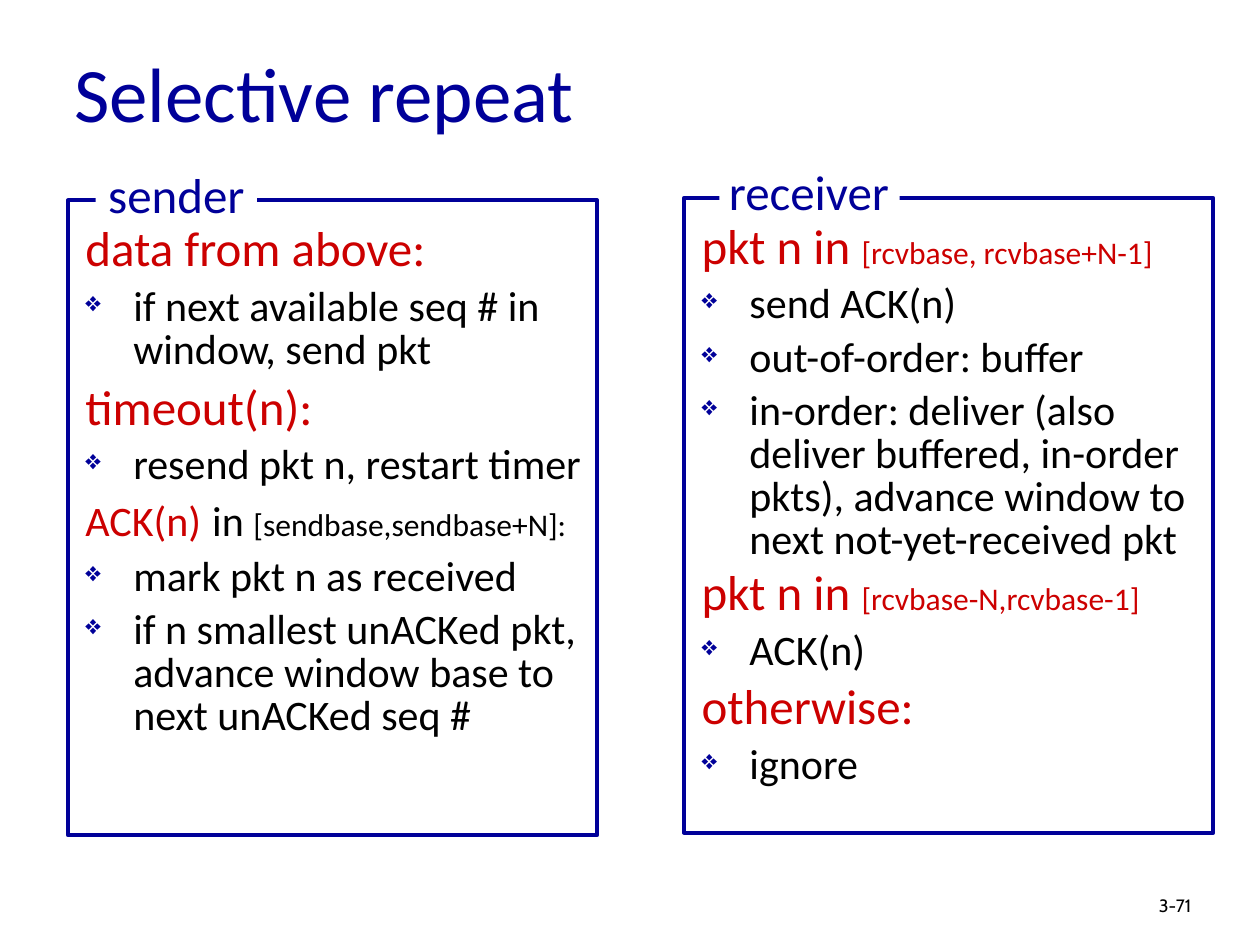
from dataclasses import dataclass
from typing import Optional

from lxml import etree
from pptx import Presentation, util as u
from pptx.dml.color import RGBColor
from pptx.enum import shapes, text
from pptx.oxml.ns import qn


@dataclass(frozen=True)
class Theme:
    navy: str = "000099"
    red: str = "CC0000"
    black: str = "000000"
    white: str = "FFFFFF"
    font: str = "Calibri"
    number_font: str = "Cabin"
    title: float = 44
    heading: float = 28
    body: float = 24
    detail: float = 18
    number: float = 10.2
    border: float = 2.25
    line_spacing: float = 0.85
    indent: float = 0.38


@dataclass(frozen=True)
class Area:
    """Columns and rows of the slide grid."""
    x: float
    y: float
    w: float
    h: float

    def inside(self, parent: "Area") -> "Area":
        return Area(parent.x + self.x, parent.y + self.y, self.w, self.h)


@dataclass(frozen=True)
class Run:
    text: str
    size: float
    color: str


@dataclass(frozen=True)
class Para:
    runs: tuple[Run, ...]
    before: float = 6
    bullet: bool = False


@dataclass(frozen=True)
class Panel:
    name: str
    frame: Area
    label: Area
    paras: tuple[Para, ...]
    mask: Optional[Area] = None  # separate gap in the border behind the label


T = Theme()
COLUMNS, ROWS = 100, 75
prs = Presentation()
prs.slide_width, prs.slide_height = u.Inches(10), u.Inches(7.5)
BODY = Area(0.4, 1.6, 41.7, 50.8)  # relative to a panel's frame


def place(area: Area) -> tuple[int, int, int, int]:
    col, row = prs.slide_width / COLUMNS, prs.slide_height / ROWS
    return (round(area.x * col), round(area.y * row),
            round(area.w * col), round(area.h * row))


def head(label: str, detail: str = "", before: float = 4.5) -> Para:
    runs = (Run(label, T.heading, T.red), Run(detail, T.detail, T.red))
    return Para(runs if detail else runs[:1], before)


def item(label: str) -> Para:
    return Para((Run(label, T.body, T.black),), bullet=True)


def add_run(p, run: Run, font: str = T.font) -> None:
    r = p.add_run()
    r.text = run.text
    r.font.name, r.font.size = font, u.Pt(run.size)
    r.font.color.rgb = RGBColor.from_string(run.color)


def add_line(s, area: Area, run: Run, font: str = T.font):
    sp = s.shapes.add_textbox(*place(area))
    tf = sp.text_frame
    tf.word_wrap = True
    add_run(tf.paragraphs[0], run, font)
    return sp


def add_rect(s, area: Area, fill: Optional[str] = None, line: Optional[str] = None) -> None:
    sp = s.shapes.add_shape(shapes.MSO_SHAPE.RECTANGLE, *place(area))
    sp.shadow.inherit = False
    if fill:
        sp.fill.solid()
        sp.fill.fore_color.rgb = RGBColor.from_string(fill)
    else:
        sp.fill.background()
    if line:
        sp.line.color.rgb = RGBColor.from_string(line)
        sp.line.width = u.Pt(T.border)
    else:
        sp.line.fill.background()


def set_indent(p, bullet: bool) -> None:
    pPr = p._p.get_or_add_pPr()
    pPr.set("marL", str(u.Inches(T.indent)))
    pPr.set("indent", str(-u.Inches(T.indent)))
    if bullet:
        color = etree.SubElement(pPr, qn("a:buClr"))
        etree.SubElement(color, qn("a:srgbClr"), val=T.navy)
        etree.SubElement(pPr, qn("a:buSzPct"), val="65000")
        etree.SubElement(pPr, qn("a:buChar"), char="❖")


def add_body(s, area: Area, paras: tuple[Para, ...]) -> None:
    tf = s.shapes.add_textbox(*place(area)).text_frame
    tf.word_wrap = True
    for i, para in enumerate(paras):
        p = tf.add_paragraph() if i else tf.paragraphs[0]
        set_indent(p, para.bullet)
        p.line_spacing = T.line_spacing
        p.space_before = u.Pt(para.before if i else 0)
        for run in para.runs:
            add_run(p, run)


def add_panel(s, panel: Panel) -> None:
    add_body(s, BODY.inside(panel.frame), panel.paras)
    add_rect(s, panel.frame, line=T.navy)
    if panel.mask:
        add_rect(s, panel.mask.inside(panel.frame), fill=T.white)
    sp = add_line(s, panel.label.inside(panel.frame), Run(panel.name, T.heading, T.navy))
    sp.text_frame.word_wrap = False
    sp.text_frame.paragraphs[0].alignment = text.PP_ALIGN.CENTER
    if not panel.mask:
        sp.fill.solid()
        sp.fill.fore_color.rgb = RGBColor.from_string(T.white)


PANELS = (
    Panel("sender", Area(5.4, 15.9, 42, 50.4), Area(2.2, -3.3, 12.8, 5.7), (
        head("data from above:"),
        item("if next available seq # in window, send pkt"),
        head("timeout(n):", before=7),
        item("resend pkt n, restart timer"),
        Para((Run("ACK(n)", T.body, T.red), Run(" ", T.heading, T.red),
              Run("in ", T.body, T.black),
              Run("[sendbase,sendbase+N]:", T.detail, T.black)), 4.5),
        item("mark pkt n as received"),
        item("if n smallest unACKed pkt, advance window base to next unACKed seq #"),
    )),
    Panel("receiver", Area(54.3, 15.7, 42, 50.4), Area(2.5, -3.4, 14.8, 5.7), (
        head("pkt n in ", "[rcvbase, rcvbase+N-1]"),
        item("send ACK(n)"),
        item("out-of-order: buffer"),
        item("in-order: deliver (also deliver buffered, in-order pkts), "
             "advance window to next not-yet-received pkt"),
        head("pkt n in ", "[rcvbase-N,rcvbase-1]"),
        item("ACK(n)"),
        head("otherwise:", before=6),
        item("ignore"),
    ), mask=Area(2.8, -1.5, 14.3, 3.1)),
)


def main() -> None:
    s = prs.slides.add_slide(prs.slide_layouts[6])
    # Title
    title = add_line(s, Area(4.9, 2.7, 85, 9.2), Run("Selective repeat", T.title, T.navy))
    title.text_frame.vertical_anchor = text.MSO_ANCHOR.MIDDLE
    # Sender and receiver panels
    for panel in PANELS:
        add_panel(s, panel)
    # Slide number
    number = add_line(s, Area(91, 70.7, 7.4, 3), Run("3-71", T.number, T.black), T.number_font)
    number.text_frame.paragraphs[0].line_spacing = 0.9
    prs.save("out.pptx")


if __name__ == "__main__":
    main()
